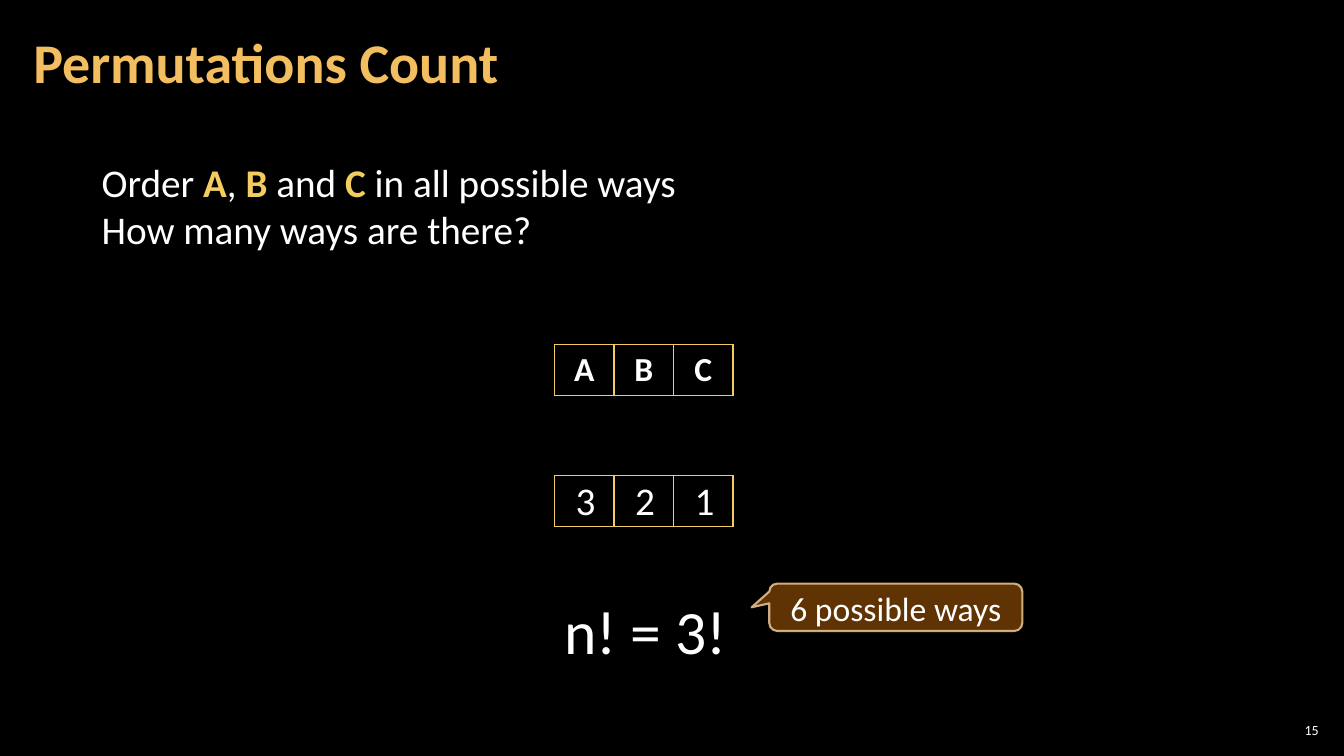
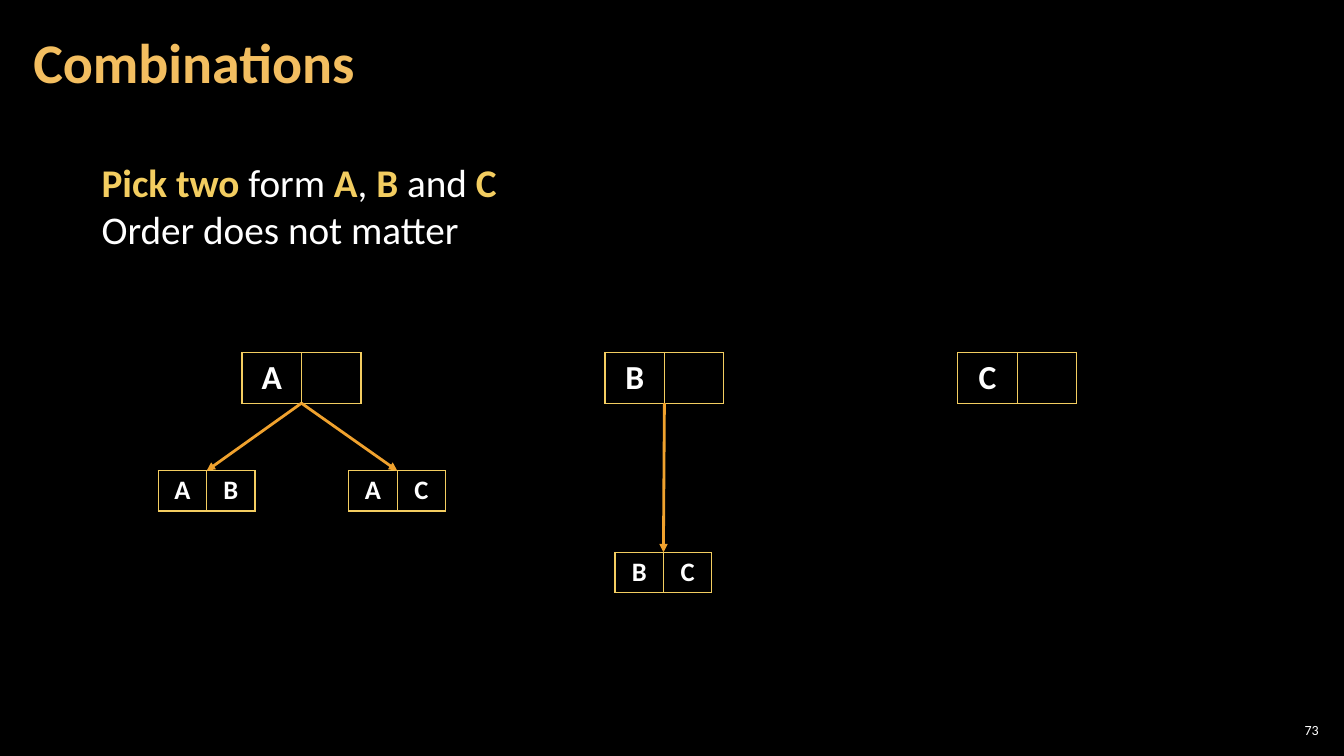
from pptx import Presentation
from pptx import util as u
from pptx.dml.color import RGBColor
from pptx.enum import shapes, text
from pptx.oxml.ns import qn
from lxml import etree

PX = 9144
FONT = "Calibri"
BLACK = RGBColor(0x00, 0x00, 0x00)
WHITE = RGBColor(0xFF, 0xFF, 0xFF)
TITLE_GOLD = RGBColor(0xF3, 0xBE, 0x60)
GOLD = RGBColor(0xF3, 0xCD, 0x60)
ARROW_ORANGE = RGBColor(0xF0, 0xA2, 0x2E)
CALLOUT_BROWN = RGBColor(0x66, 0x36, 0x06)
CALLOUT_EDGE = RGBColor(0xF8, 0xD4, 0x9E)

LARGE = {"column": 59, "height": 50, "size": 24}
SMALL = {"column": 48, "height": 40, "size": 19}


def px(*lengths):
    """Turn pixel lengths into EMU."""
    return [length * PX for length in lengths]


def add_run(paragraph, words, size, color=WHITE, bold=False):
    """Append one formatted run."""
    run = paragraph.add_run()
    run.text = words
    run.font.name = FONT
    run.font.size = u.Pt(size)
    run.font.bold = bold
    run.font.color.rgb = color


def set_margins(frame, side, edge):
    """Set the side and the top and bottom insets of a text frame."""
    frame.margin_left = frame.margin_right = side * PX
    frame.margin_top = frame.margin_bottom = edge * PX


def add_text(slide, box, lines, size, wrap=False, grow=True):
    """Add a text box; each line lists (words, highlighted) pairs."""
    frame = slide.shapes.add_textbox(*px(*box)).text_frame
    frame.word_wrap = wrap
    if grow:
        frame.auto_size = text.MSO_AUTO_SIZE.SHAPE_TO_FIT_TEXT
    for index, line in enumerate(lines):
        paragraph = frame.add_paragraph() if index else frame.paragraphs[0]
        for words, highlighted in line:
            add_run(paragraph, words, size, GOLD if highlighted else WHITE, highlighted)
    return frame


def add_border(cell):
    """Draw a thin gold line on every side of a cell."""
    properties = cell._tc.get_or_add_tcPr()
    for side in ("lnL", "lnR", "lnT", "lnB"):
        line = etree.SubElement(properties, qn(f"a:{side}"), w=str(u.Pt(1)))
        fill = etree.SubElement(line, qn("a:solidFill"))
        etree.SubElement(fill, qn("a:srgbClr"), val=str(GOLD))


def add_slots(slide, left, top, letters, style):
    """Add a one-row table of slots and return its graphic frame."""
    width = style["column"] * len(letters)
    frame = slide.shapes.add_table(
        1, len(letters), *px(left, top, width, style["height"]))
    slots = frame.table
    slots.first_row = slots.horz_banding = False
    for column, letter in enumerate(letters):
        slots.columns[column].width = style["column"] * PX
        cell = slots.cell(0, column)
        add_border(cell)
        cell.fill.background()
        cell.margin_top = cell.margin_bottom = 0
        cell.vertical_anchor = text.MSO_ANCHOR.MIDDLE
        if letter:
            paragraph = cell.text_frame.paragraphs[0]
            paragraph.alignment = text.PP_ALIGN.CENTER
            add_run(paragraph, letter, style["size"], bold=True)
    return frame


def add_arrow(slide, parent, child):
    """Draw an arrow from under the parent slots to the top of the child slots."""
    arrow = slide.shapes.add_connector(
        shapes.MSO_CONNECTOR.STRAIGHT,
        parent.left + parent.width // 2, parent.top + parent.height,
        child.left + child.width // 2, child.top)
    arrow.line.color.rgb = ARROW_ORANGE
    arrow.line.width = u.Pt(2)
    etree.SubElement(arrow.line._get_or_add_ln(), qn("a:tailEnd"), type="triangle")
    etree.SubElement(arrow._element.spPr, qn("a:effectLst"))


def set_opacity(fill, percent):
    """Make a solid fill partly transparent."""
    color = fill._xPr.find(f"{qn('a:solidFill')}/{qn('a:srgbClr')}")
    etree.SubElement(color, qn("a:alpha"), val=str(percent * 1000))


def add_callout(slide, box, words):
    """Add a rounded callout pointing left."""
    callout = slide.shapes.add_shape(
        shapes.MSO_SHAPE.ROUNDED_RECTANGULAR_CALLOUT, *px(*box))
    callout.shadow.inherit = False
    for index, value in enumerate((-0.57, 0, 0.17)):
        callout.adjustments[index] = value
    callout.fill.solid()
    callout.fill.fore_color.rgb = CALLOUT_BROWN
    set_opacity(callout.fill, 95)
    callout.line.color.rgb = CALLOUT_EDGE
    callout.line.width = u.Pt(1.5)
    set_opacity(callout.line.fill, 80)
    frame = callout.text_frame
    frame.vertical_anchor = text.MSO_ANCHOR.MIDDLE
    paragraph = frame.paragraphs[0]
    paragraph.alignment = text.PP_ALIGN.CENTER
    paragraph.line_spacing = u.Pt(30)
    add_run(paragraph, words, 24)


def add_slide(prs, heading, number, prompt, prompt_width):
    """Add a slide with its title, page number and two-line prompt."""
    slide = prs.slides.add_slide(prs.slide_layouts[5])
    title = slide.shapes.title
    title.left, title.top, title.width, title.height = px(21, 4, 1047, 121)
    frame = title.text_frame
    frame.vertical_anchor = text.MSO_ANCHOR.MIDDLE
    set_margins(frame, 12, 4)
    paragraph = frame.paragraphs[0]
    paragraph.alignment = text.PP_ALIGN.LEFT
    paragraph.line_spacing = 0.9
    add_run(paragraph, heading, 40, TITLE_GOLD, True)

    page = add_text(slide, (1265, 714, 47, 21), [[(number, False)]], 10,
                    wrap=True, grow=False)
    page.vertical_anchor = text.MSO_ANCHOR.MIDDLE
    set_margins(page, 4, 4)
    page.paragraphs[0].alignment = text.PP_ALIGN.RIGHT

    add_text(slide, (91, 152, prompt_width, 104), prompt, 28)
    return slide


def build_permutations(prs):
    """Build the slide that counts permutations."""
    slide = add_slide(prs, "Permutations Count", "15", [
        [("Order ", False), ("A", True), (", ", False), ("B", True),
         (" and ", False), ("C", True), (" in all possible ways", False)],
        [("How many ways are there?", False)]], 595)
    add_slots(slide, 550, 342, "ABC", LARGE)
    add_slots(slide, 550, 472, ["", "", ""], LARGE)
    add_callout(slide, (763, 579, 251, 47), "6 possible ways")
    for column, choices in enumerate("321"):
        left = 561 + column * LARGE["column"]
        add_text(slide, (left, 468, 40, 57), [[(choices, False)]], 28)
    add_text(slide, (550, 583, 214, 84), [[("n! = 3!", False)]], 44, wrap=True)


def build_combinations(prs):
    """Build the slide that branches into combinations."""
    slide = add_slide(prs, "Combinations", "73", [
        [("Pick two ", True), ("form ", False), ("A", True), (", ", False),
         ("B", True), (" and ", False), ("C", True)],
        [("Order does not matter", False)]], 416)
    branches = [
        ("A", 240, [("AB", 157, 467), ("AC", 346, 467)]),
        ("B", 600, [("BC", 610, 548)]),
        ("C", 950, []),
    ]
    for first, left, pairs in branches:
        parent = add_slots(slide, left, 350, [first, ""], LARGE)
        for pair, pair_left, pair_top in pairs:
            child = add_slots(slide, pair_left, pair_top, pair, SMALL)
            add_arrow(slide, parent, child)


def main():
    """Build and save the deck."""
    prs = Presentation()
    prs.slide_width, prs.slide_height = u.Inches(13.33), u.Inches(7.5)
    backdrop = prs.slide_master.background.fill
    backdrop.solid()
    backdrop.fore_color.rgb = BLACK
    build_permutations(prs)
    build_combinations(prs)
    prs.save("out.pptx")


if __name__ == "__main__":
    main()
